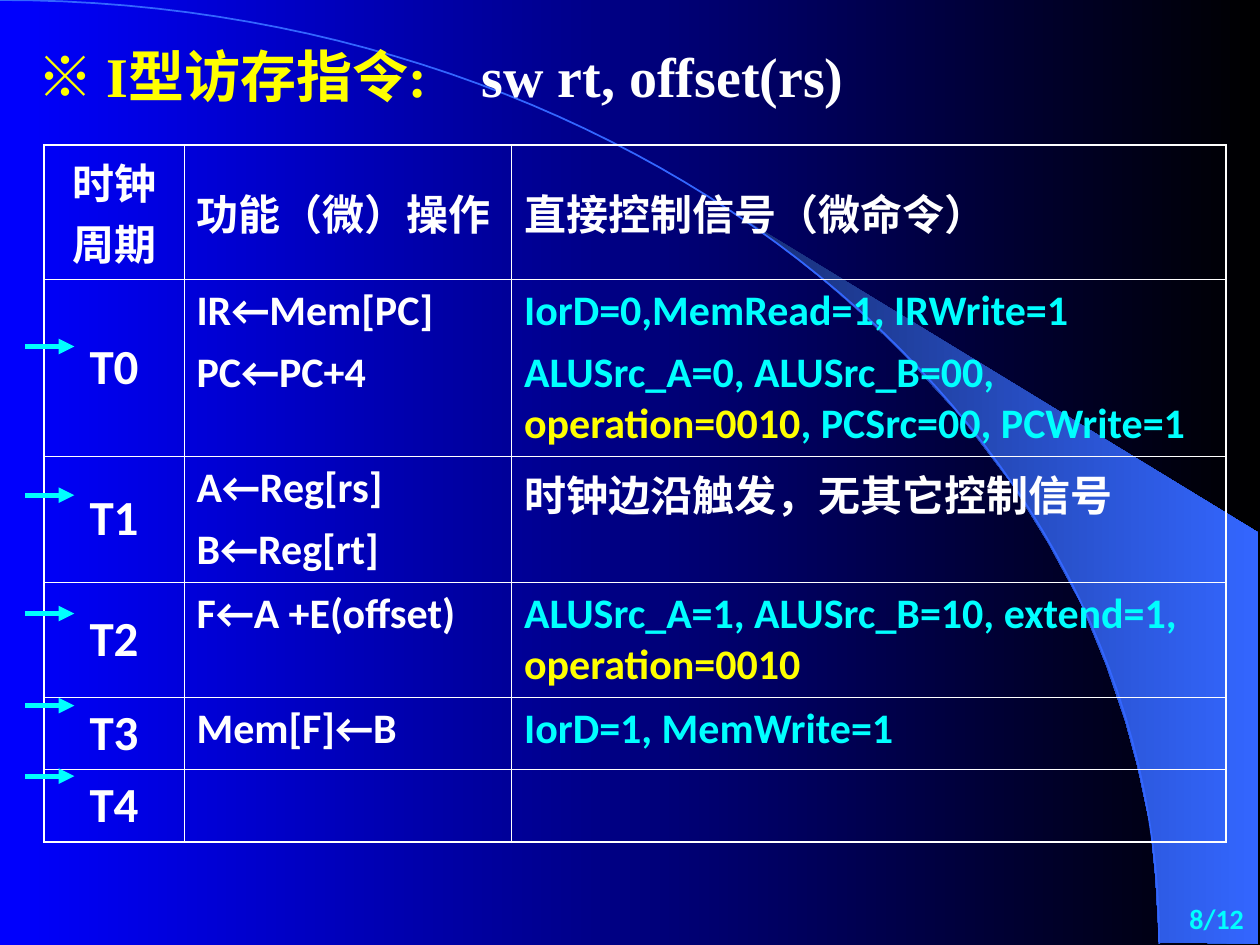
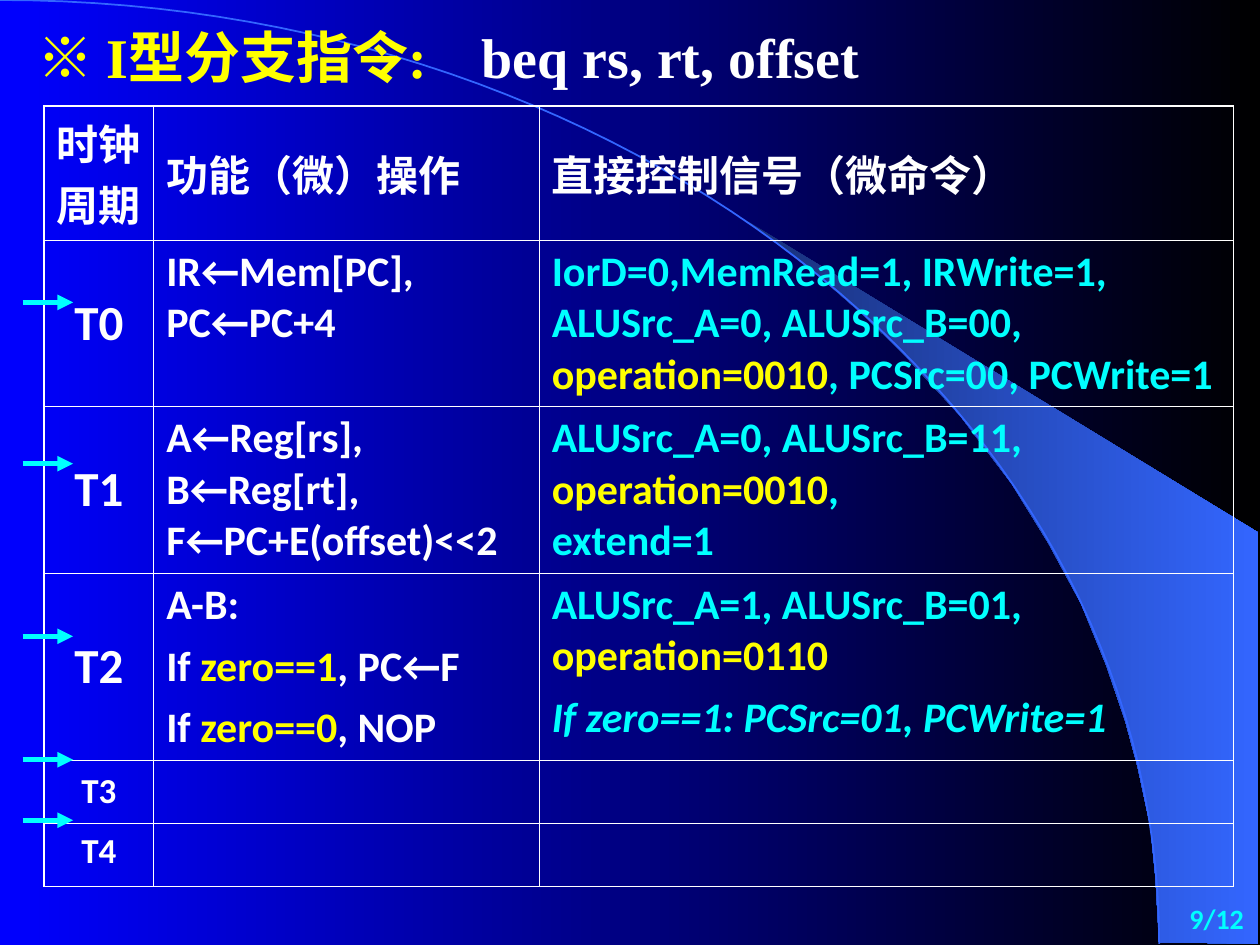
import pptx
import pptx.dml.color
import pptx.enum.dml
import pptx.enum.shapes
import pptx.enum.text
import pptx.oxml
import pptx.oxml.ns
import pptx.util

Inches = pptx.util.Inches
Pt = pptx.util.Pt
Color = pptx.dml.color.RGBColor.from_string
ALIGN = pptx.enum.text.PP_ALIGN
ANCHOR = pptx.enum.text.MSO_ANCHOR
NAMESPACE = pptx.oxml.ns.nsdecls("a")

THEME = {
    "white": "FFFFFF",
    "cyan": "00FFFF",
    "yellow": "FFFF00",
    "background": ("0000FF", "000000"),
    "wedge": ("182F76", "3366FF"),
    "arc": "3366FF",
    "asian": "Noto Sans CJK SC",
    "thin": 0.45,
    "thick": 1.08,
    "mark": {"name": "Noto Sans CJK SC", "size": Pt(32), "bold": True},
    "title": {"name": "Times New Roman", "size": Pt(32), "bold": True},
    "header": {"name": "Times New Roman", "size": Pt(24), "bold": True},
    "body": {"name": "Calibri", "size": Pt(24), "bold": True},
    "condition": {"name": "Calibri", "size": Pt(24), "bold": True, "italic": True},
    "clock": {"name": "Calibri", "size": Pt(28), "bold": True},
    "idle": {"name": "Calibri", "size": Pt(20), "bold": True},
    "page": {"name": "Calibri", "size": Pt(16), "bold": True},
}


def set_values(target, values):
    for name, value in values.items():
        setattr(target, name, value)


def write_paragraphs(frame, paragraphs, style, alignment=ALIGN.LEFT):
    for index, (gap, spans) in enumerate(paragraphs):
        para = frame.paragraphs[0] if index == 0 else frame.add_paragraph()
        set_values(para, {"alignment": alignment, "space_before": Pt(gap)})
        for text, color, *other in spans:
            span = para.add_run()
            span.text = text
            set_values(span.font, THEME[other[0] if other else style])
            span.font.color.rgb = Color(THEME[color])
            span.font._element.get_or_add_latin().addnext(
                pptx.oxml.parse_xml(f'<a:ea {NAMESPACE} typeface="{THEME["asian"]}"/>'))


HEADER = ["时钟周期", "功能（微）操作", "直接控制信号（微命令）"]

SLIDES = [
    {
        "title": ("I型访存指令:", "sw rt, offset(rs)"), "title_top": 0.28, "page": "8/12",
        "table": (0.35, 1.15), "columns": [1.11, 2.6, 5.67],
        "heights": [0.9, 1.38, 0.98, 0.9, 0.57, 0.57],
        "arrows": (0.2, 0.59, [2.75, 3.93, 4.87, 5.6, 6.16]),
        "clock_styles": ["clock"] * 5,
        "steps": [
            ([(0, [("IR←Mem[PC]", "white")]), (6, [("PC←PC+4", "white")])],
             [(0, [("IorD=0,MemRead=1, IRWrite=1", "cyan")]),
              (6, [("ALUSrc_A=0, ALUSrc_B=00, ", "cyan"), ("operation=0010", "yellow"),
                   (", PCSrc=00, PCWrite=1", "cyan")])]),
            ([(0, [("A←Reg[rs]", "white")]), (6, [("B←Reg[rt]", "white")])],
             [(0, [("时钟边沿触发，无其它控制信号", "white")])]),
            ([(0, [("F←A +E(offset)", "white")])],
             [(0, [("ALUSrc_A=1, ALUSrc_B=10, extend=1, ", "cyan"),
                   ("operation=0010", "yellow")])]),
            ([(0, [("Mem[F]←B", "white")])], [(0, [("IorD=1, MemWrite=1", "cyan")])]),
            ([], []),
        ],
    },
    {
        "title": ("I型分支指令:", "beq rs, rt, offset"), "title_top": 0.13, "page": "9/12",
        "table": (0.35, 0.84), "columns": [0.87, 3.06, 5.51],
        "heights": [0.9, 1.3, 1.3, 1.47, 0.5, 0.5],
        "arrows": (0.18, 0.58, [2.4, 3.68, 5.05, 6.03, 6.51]),
        "clock_styles": ["clock"] * 3 + ["idle"] * 2,
        "steps": [
            ([(0, [("IR←Mem[PC], PC←PC+4", "white")])],
             [(0, [("IorD=0,MemRead=1, IRWrite=1, ALUSrc_A=0, ALUSrc_B=00, ", "cyan"),
                   ("operation=0010", "yellow"), (", PCSrc=00, PCWrite=1", "cyan")])]),
            ([(0, [("A←Reg[rs], B←Reg[rt], F←PC+E(offset)<<2", "white")])],
             [(0, [("ALUSrc_A=0, ALUSrc_B=11, ", "cyan"), ("operation=0010", "yellow"),
                   (",", "cyan")]),
              (0, [("extend=1", "cyan")])]),
            ([(0, [("A-B:", "white")]),
              (6, [("If ", "white"), ("zero==1", "yellow"), (", PC←F", "white")]),
              (6, [("If ", "white"), ("zero==0", "yellow"), (", NOP", "white")])],
             [(0, [("ALUSrc_A=1, ALUSrc_B=01, ", "cyan"), ("operation=0110", "yellow")]),
              (6, [("If zero==1: PCSrc=01, PCWrite=1", "cyan", "condition")])]),
            ([], []),
            ([], []),
        ],
    },
]

WEDGE = [
    (9.2, 7.48), (9.99, 7.49), (9.99, 4.23), (5.89, 1.73), (6.24, 1.99), (6.53, 2.22),
    (6.85, 2.5), (7.16, 2.8), (7.62, 3.3), (8.03, 3.84), (8.32, 4.31), (8.58, 4.79),
    (8.78, 5.28), (8.93, 5.72), (9.03, 6.09), (9.13, 6.56), (9.17, 6.96),
]
STEPS = 60
ARC = []
for step in range(STEPS + 1):
    t = step / STEPS
    ARC.append((3 * t * (1 - t) ** 2 * 5.08 + (3 * t ** 2 * (1 - t) + t ** 3) * 9.2,
                3 * t ** 2 * (1 - t) * 3.35 + t ** 3 * 7.49))

deck = pptx.Presentation()
set_values(deck, {"slide_width": Inches(10), "slide_height": Inches(7.5)})
master = deck.slide_master
layout = deck.slide_layouts[5]
slides = [deck.slides.add_slide(layout) for _ in SLIDES]

swoosh = []
for points, closed in ((WEDGE, True), (ARC, False)):
    corners = [(Inches(x), Inches(y)) for x, y in points]
    builder = slides[0].shapes.build_freeform(*corners[0])
    builder.add_line_segments(corners[1:], close=closed)
    swoosh.append(builder.convert_to_shape())
wedge, arc = swoosh
wedge.line.fill.background()
arc.fill.background()
arc.line.color.rgb = Color(THEME["arc"])
arc.line.width = Pt(1)

for fill, colors in ((master.background.fill, THEME["background"]), (wedge.fill, THEME["wedge"])):
    fill.gradient()
    fill.gradient_angle = 0
    for stop, color, position in zip(fill.gradient_stops, colors, (0, 1)):
        stop.color.rgb = Color(color)
        stop.position = position

for index, shape in enumerate(swoosh):
    shape.shadow.inherit = False
    shape.element.nvSpPr.cNvPr.id = 101 + index
    master.shapes.element.insert(2 + index, shape.element)

for slide, content in zip(slides, SLIDES):
    title = slide.shapes.title
    set_values(title, {"left": Inches(0.2), "top": Inches(content["title_top"]),
                       "width": Inches(7.81), "height": Inches(0.64)})
    set_values(title.text_frame, {"word_wrap": True, "vertical_anchor": ANCHOR.TOP,
                                  "auto_size": pptx.enum.text.MSO_AUTO_SIZE.NONE})
    kind, instruction = content["title"]
    write_paragraphs(title.text_frame, [(0, [
        ("※ ", "yellow", "mark"), (kind + "\t", "yellow"), (instruction, "white")])], "title")
    title.text_frame.paragraphs[0]._p.get_or_add_pPr().append(pptx.oxml.parse_xml(
        f'<a:tabLst {NAMESPACE}><a:tab pos="{Inches(3.52)}" algn="l"/></a:tabLst>'))

    columns, heights = content["columns"], content["heights"]
    left, top = content["table"]
    table = slide.shapes.add_table(
        len(heights), len(columns), Inches(left), Inches(top),
        Inches(sum(columns)), Inches(sum(heights))).table
    set_values(table, {"first_row": False, "horz_banding": False})
    for column, width in zip(table.columns, columns):
        column.width = Inches(width)
    for row, height in zip(table.rows, heights):
        row.height = Inches(height)

    rows = [[([(0, [(text, "white")])], "header") for text in HEADER]]
    for number, (style, step) in enumerate(zip(content["clock_styles"], content["steps"])):
        clock = ([(0, [(f"T{number}", "white")])], style)
        rows.append([clock] + [(paragraphs, "body") for paragraphs in step])

    last_row, last_column = len(heights) - 1, len(columns) - 1
    for r, row in enumerate(rows):
        for c, (paragraphs, style) in enumerate(row):
            cell = table.cell(r, c)
            cell.fill.background()
            middle = (c == 0 and 0 < r < last_row) or (r == 0 and c > 0)
            cell.vertical_anchor = ANCHOR.MIDDLE if middle else ANCHOR.TOP
            write_paragraphs(cell.text_frame, paragraphs, style,
                             ALIGN.CENTER if c == 0 else ALIGN.LEFT)
            outer = {"L": c == 0, "R": c == last_column, "T": r == 0, "B": r == last_row}
            for index, (side, is_outer) in enumerate(outer.items()):
                width = Pt(THEME["thick" if is_outer else "thin"])
                cell._tc.get_or_add_tcPr().insert(index, pptx.oxml.parse_xml(
                    f'<a:ln{side} {NAMESPACE} w="{width}"><a:solidFill>'
                    f'<a:srgbClr val="{THEME["white"]}"/></a:solidFill></a:ln{side}>'))

    start, end, levels = content["arrows"]
    for level in levels:
        arrow = slide.shapes.add_connector(
            pptx.enum.shapes.MSO_CONNECTOR.STRAIGHT,
            Inches(start), Inches(level), Inches(end), Inches(level))
        arrow.line.color.rgb = Color(THEME["cyan"])
        arrow.line.width = Pt(3)
        properties = arrow.element.spPr
        properties.find(pptx.oxml.ns.qn("a:ln")).append(
            pptx.oxml.parse_xml(f'<a:tailEnd {NAMESPACE} type="triangle"/>'))
        properties.append(pptx.oxml.parse_xml(f'<a:effectLst {NAMESPACE}/>'))

    page = slide.shapes.add_textbox(Inches(8.79), Inches(7.09), Inches(1.18), Inches(0.39))
    set_values(page.text_frame, {"word_wrap": True, "vertical_anchor": ANCHOR.MIDDLE})
    write_paragraphs(page.text_frame, [(0, [(content["page"], "cyan")])], "page", ALIGN.RIGHT)

deck.save("out.pptx")
